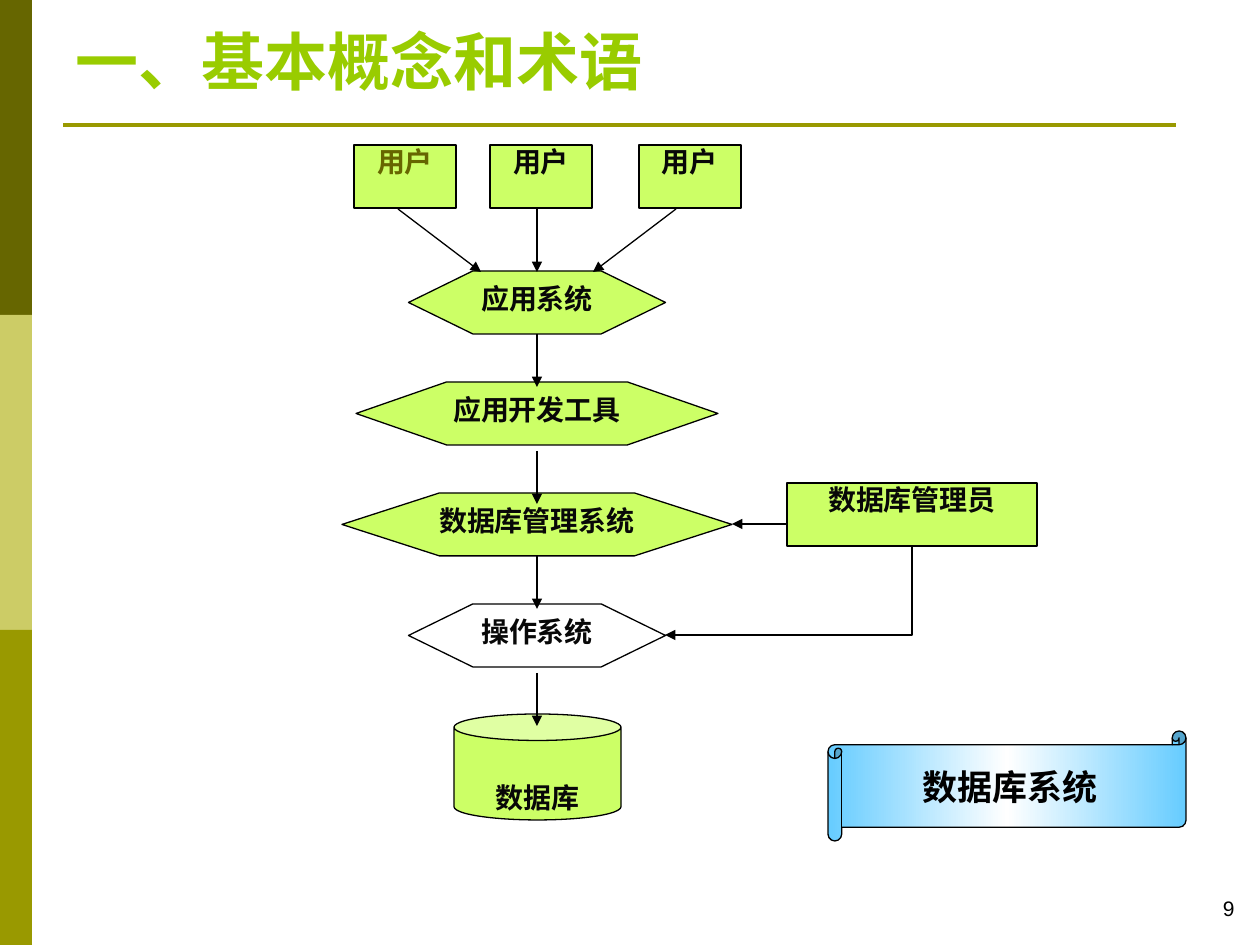
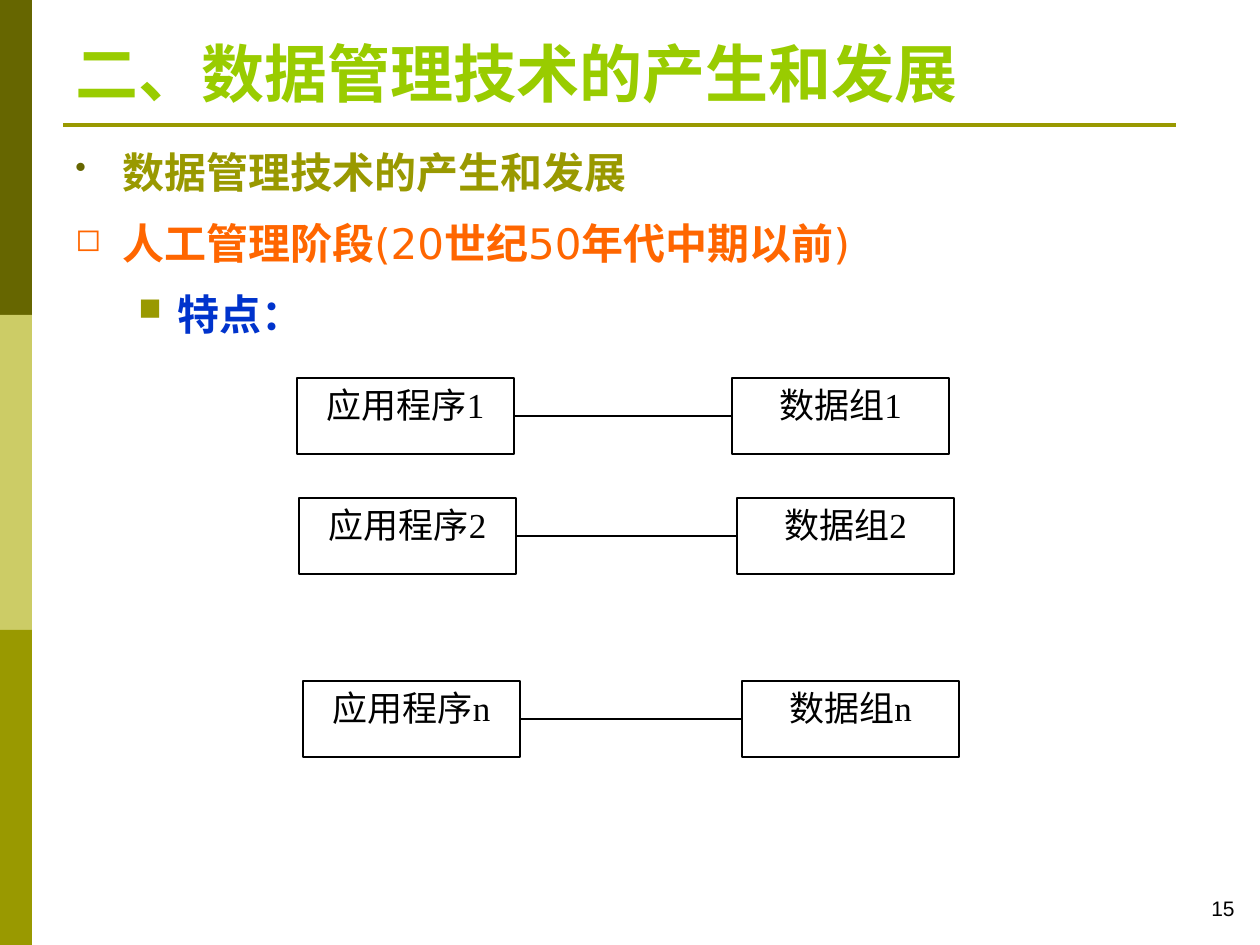
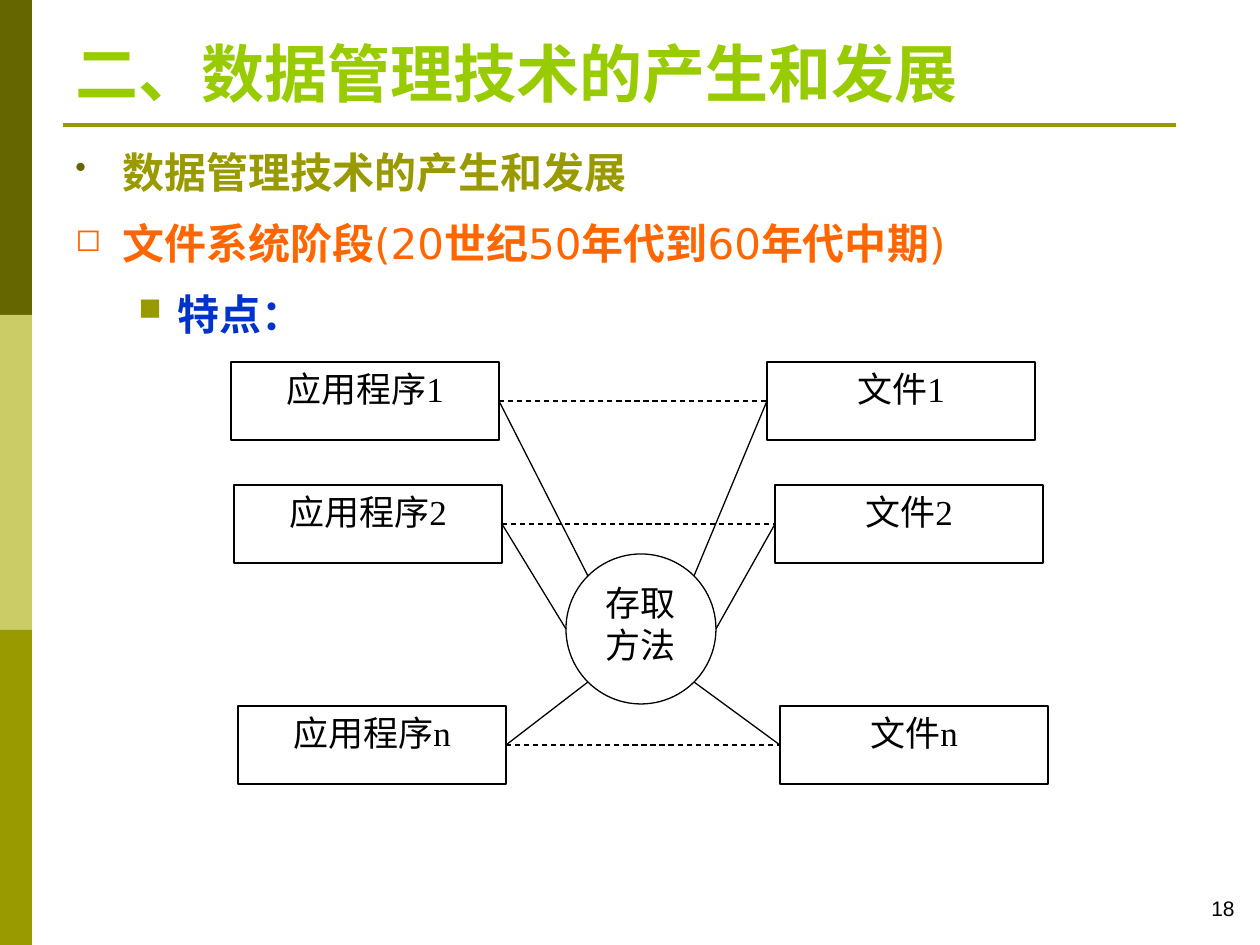
from collections import namedtuple
from copy import deepcopy
from math import cos, radians, sin

from lxml.etree import SubElement
from pptx import Presentation
from pptx.dml.color import RGBColor
from pptx.enum.dml import MSO_LINE
from pptx.enum.shapes import MSO_CONNECTOR, MSO_SHAPE
from pptx.enum.text import MSO_ANCHOR, PP_ALIGN
from pptx.oxml.ns import qn
from pptx.util import Emu, Pt

Box = namedtuple("Box", "left top width height")
Bullet = namedtuple("Bullet", "sign color level margin hang")

BLACK = RGBColor(0x00, 0x00, 0x00)
INK = RGBColor(0x08, 0x08, 0x08)
WHITE = RGBColor(0xFF, 0xFF, 0xFF)
DARK_OLIVE = RGBColor(0x66, 0x66, 0x00)
PALE_OLIVE = RGBColor(0xCC, 0xCC, 0x66)
OLIVE = RGBColor(0x99, 0x99, 0x00)
TITLE_GREEN = RGBColor(0x99, 0xCC, 0x00)
LIME = RGBColor(0xCC, 0xFF, 0x66)
ORANGE = RGBColor(0xFF, 0x66, 0x00)
BLUE = RGBColor(0x00, 0x33, 0xCC)
SKY = RGBColor(0x66, 0xCC, 0xFF)

SERIF = "Times New Roman"
SANS = "Arial"
BODY_FONT = "DejaVu Sans"

EMU_PER_PX = 914400 / 126
PAGE = Box(0, 0, 1260, 945)
TITLE = Box(63, 26, 1134, 90)
BODY = Box(63, 130, 1134, 689)
NUMBER = Box(1079, 889, 168, 38)

TOPIC_BULLET = Bullet("•", DARK_OLIVE, 0, 47, -47)
STAGE_BULLET = Bullet("◻", ORANGE, 0, 47, -47)
POINT_BULLET = Bullet("■", OLIVE, 1, 102, -39)


def px(length):
    return Emu(round(length * EMU_PER_PX))


def emu(*lengths):
    return [px(length) for length in lengths]


def write(para, text, size, font, color, bold=False):
    span = para.add_run()
    span.text = text
    span.font.size = Pt(size)
    span.font.name = font
    span.font.bold = bold
    span.font.color.rgb = color


def add_text_box(page, box, anchor=MSO_ANCHOR.TOP):
    frame = page.shapes.add_textbox(*emu(*box)).text_frame
    frame.word_wrap = True
    frame.vertical_anchor = anchor
    return frame


def add_block(page, kind, box, fill, outlined=True):
    block = page.shapes.add_shape(kind, *emu(*box))
    block.shadow.inherit = False
    block.fill.solid()
    block.fill.fore_color.rgb = fill
    if outlined:
        block.line.color.rgb = BLACK
        block.line.width = Pt(0.75)
    else:
        block.line.fill.background()
    return block


def label(block, lines, size, font, color, bold=False, inset=6, anchor=MSO_ANCHOR.TOP):
    frame = block.text_frame
    frame.margin_top = px(inset)
    frame.margin_bottom = px(min(inset, 6))
    frame.vertical_anchor = anchor
    for index, line in enumerate(lines):
        para = frame.add_paragraph() if index else frame.paragraphs[0]
        para.alignment = PP_ALIGN.CENTER
        write(para, line, size, font, color, bold)


def style_line(line, color=BLACK, width=0.75, dashed=False, arrow=False):
    line.line.color.rgb = color
    line.line.width = Pt(width)
    if dashed:
        line.line.dash_style = MSO_LINE.DASH
    properties = line.element.spPr
    if arrow:
        SubElement(properties.find(qn("a:ln")), qn("a:tailEnd"), type="triangle")
    SubElement(properties, qn("a:effectLst"))


def add_line(page, start, end, **style):
    line = page.shapes.add_connector(MSO_CONNECTOR.STRAIGHT, *emu(*start, *end))
    style_line(line, **style)
    return line


def add_corner_arrow(page, start, end):
    drop, reach = end[1] - start[1], start[0] - end[0]
    middle_x, middle_y = (start[0] + end[0]) / 2, (start[1] + end[1]) / 2
    corner = page.shapes.add_connector(
        MSO_CONNECTOR.ELBOW,
        *emu(middle_x - drop / 2, middle_y - reach / 2, middle_x + drop / 2, middle_y + reach / 2),
    )
    properties = corner.element.spPr
    properties.find(qn("a:xfrm")).set("rot", "5400000")
    properties.find(qn("a:prstGeom")).set("prst", "bentConnector2")
    style_line(corner, arrow=True)


def add_frame(page, box, number):
    band_height = box.height // 3
    for index, color in enumerate((DARK_OLIVE, PALE_OLIVE, OLIVE)):
        band = Box(box.left, box.top + index * band_height, 32, band_height)
        add_block(page, MSO_SHAPE.RECTANGLE, band, color, outlined=False)
    rule_y = box.top + 125
    add_line(page, (box.left + 63, rule_y), (box.left + 1176, rule_y), color=OLIVE, width=2.25)
    para = add_text_box(page, NUMBER).paragraphs[0]
    para.alignment = PP_ALIGN.RIGHT
    write(para, number, 12, SANS, BLACK)


def add_title(page, box, text, anchor=MSO_ANCHOR.BOTTOM):
    frame = add_text_box(page, box, anchor)
    write(frame.paragraphs[0], text, 36, SERIF, TITLE_GREEN, True)


def set_bullet(para, bullet):
    para.level = bullet.level
    properties = para._p.get_or_add_pPr()
    properties.set("marL", str(px(bullet.margin)))
    properties.set("indent", str(px(bullet.hang)))
    color = SubElement(properties, qn("a:buClr"))
    SubElement(color, qn("a:srgbClr"), val=str(bullet.color))
    SubElement(properties, qn("a:buSzPct"), val="75000")
    SubElement(properties, qn("a:buChar"), char=bullet.sign)


def add_outline(page, box, stage):
    frame = add_text_box(page, box)
    items = (
        (TOPIC_BULLET, OLIVE, ["数据管理技术的产生和发展"]),
        (STAGE_BULLET, ORANGE, stage),
        (POINT_BULLET, BLUE, ["特点："]),
    )
    for index, (bullet, color, parts) in enumerate(items):
        para = frame.add_paragraph() if index else frame.paragraphs[0]
        set_bullet(para, bullet)
        para.line_spacing = 1.2
        para.space_before = Pt(6 if index else 0)
        for position, part in enumerate(parts):
            write(para, part, 24, BODY_FONT, color, position % 2 == 0)


def add_layers(page, box):
    left, top = box.left, box.top
    axis = left + 195
    pitch, layer_height = 111, 63

    can = add_block(page, MSO_SHAPE.CAN, Box(axis - 83, top + 569, 167, 106), LIME)
    label(can, ["数据库"], 16, SERIF, INK, True, inset=40)

    layers = (
        ("应用系统", 257, LIME),
        ("应用开发工具", 362, LIME),
        ("数据库管理系统", 390, LIME),
        ("操作系统", 257, WHITE),
    )
    for index, (name, width, fill) in enumerate(layers):
        layer = Box(axis - width / 2, top + 126 + index * pitch, width, layer_height)
        hexagon = add_block(page, MSO_SHAPE.HEXAGON, layer, fill)
        hexagon.adjustments[0] = width / layer_height / 4
        label(hexagon, [name], 16, SERIF, INK, True, inset=0)

    for index in range(len(layers)):
        start = top + 126 + layer_height + index * pitch + index % 2 * 6
        add_line(page, (axis, start), (axis, start + 53), arrow=True)
    for side in (-1, 0, 1):
        add_line(page, (axis + side * 139, top + 64), (axis + side * 56, top + 127), arrow=True)

    for offset, color in ((12, DARK_OLIVE), (148, INK), (297, INK)):
        user = add_block(page, MSO_SHAPE.RECTANGLE, Box(left + offset, top, 102, 63), LIME)
        label(user, ["用户"], 16, SANS, color, True, inset=0)

    manager = add_block(page, MSO_SHAPE.RECTANGLE, Box(left + 445, top + 338, 250, 63), LIME)
    label(manager, ["数据库管理员"], 16, SANS, INK, True, inset=0)
    add_line(page, (left + 445, top + 379), (left + 390, top + 379), arrow=True)
    add_corner_arrow(page, (left + 570, top + 401), (left + 323, top + 490))


def add_scroll(page, box, text):
    scroll = add_block(page, MSO_SHAPE.HORIZONTAL_SCROLL, box, SKY)
    scroll.fill.gradient()
    scroll.fill.gradient_angle = 0
    stops = scroll.element.spPr.find(qn("a:gradFill")).find(qn("a:gsLst"))
    stops.insert(1, deepcopy(stops[0]))
    for stop, position, color in zip(scroll.fill.gradient_stops, (0, 0.5, 1), (SKY, WHITE, SKY)):
        stop.position = position
        stop.color.rgb = color
    label(scroll, [text], 20, SANS, BLACK, True, anchor=MSO_ANCHOR.MIDDLE)


def add_pairs(page, box, size, group, places, dashed=False):
    pairs = []
    for suffix, (program_x, group_x, drop) in zip("12n", places):
        pair = []
        for name, offset in (("应用程序", program_x), (group, group_x)):
            cell = Box(box.left + offset, box.top + drop, *size)
            block = add_block(page, MSO_SHAPE.RECTANGLE, cell, WHITE)
            label(block, [name + suffix], 20, SERIF, BLACK)
            pair.append(block)
        link = add_line(page, (0, 0), (1, 1), dashed=dashed)
        link.begin_connect(pair[0], 3)
        link.end_connect(pair[1], 1)
        pairs.append(pair)
    return pairs


def add_access_hub(page, box, pairs):
    hub = add_block(page, MSO_SHAPE.OVAL, box, WHITE)
    label(hub, ["存取", "方法"], 20, SERIF, BLACK)
    radius = box.width / 2
    for angle, pair in zip((-45, 0, 45), pairs):
        for block, side, site in zip(pair, (-1, 1), (3, 1)):
            rim_x = box.left + radius + side * radius * cos(radians(angle))
            rim_y = box.top + radius + radius * sin(radians(angle))
            spoke = add_line(page, (box.left, box.top), (rim_x, rim_y))
            spoke.begin_connect(block, site)


def add_page(deck, number):
    page = deck.slides.add_slide(deck.slide_layouts[6])
    add_frame(page, PAGE, number)
    return page


def add_stage_page(deck, number, stage):
    page = add_page(deck, number)
    add_title(page, TITLE, "二、数据管理技术的产生和发展")
    add_outline(page, BODY, stage)
    return page


def main():
    deck = Presentation()
    deck.slide_width, deck.slide_height = emu(PAGE.width, PAGE.height)

    concepts = add_page(deck, "9")
    add_title(concepts, Box(63, 16, 1134, 203), "一、基本概念和术语", MSO_ANCHOR.TOP)
    add_layers(concepts, Box(342, 145, 696, 676))
    add_scroll(concepts, Box(828, 731, 358, 110), "数据库系统")

    manual = add_stage_page(
        deck, "15", ["人工管理阶段", "(20", "世纪", "50", "年代中期以前", ")"]
    )
    add_pairs(
        manual, Box(297, 378, 662, 378), (217, 76), "数据组",
        ((0, 435, 0), (2, 440, 120), (6, 445, 303)),
    )

    files = add_stage_page(
        deck, "18", ["文件系统阶段", "(20", "世纪", "50", "年代到", "60", "年代中期", ")"]
    )
    pairs = add_pairs(
        files, Box(231, 362, 817, 422), (268, 78), "文件",
        ((0, 536, 0), (3, 544, 123), (7, 549, 344)), dashed=True,
    )
    add_access_hub(files, Box(566, 554, 150, 150), pairs)

    deck.save("out.pptx")


if __name__ == "__main__":
    main()
